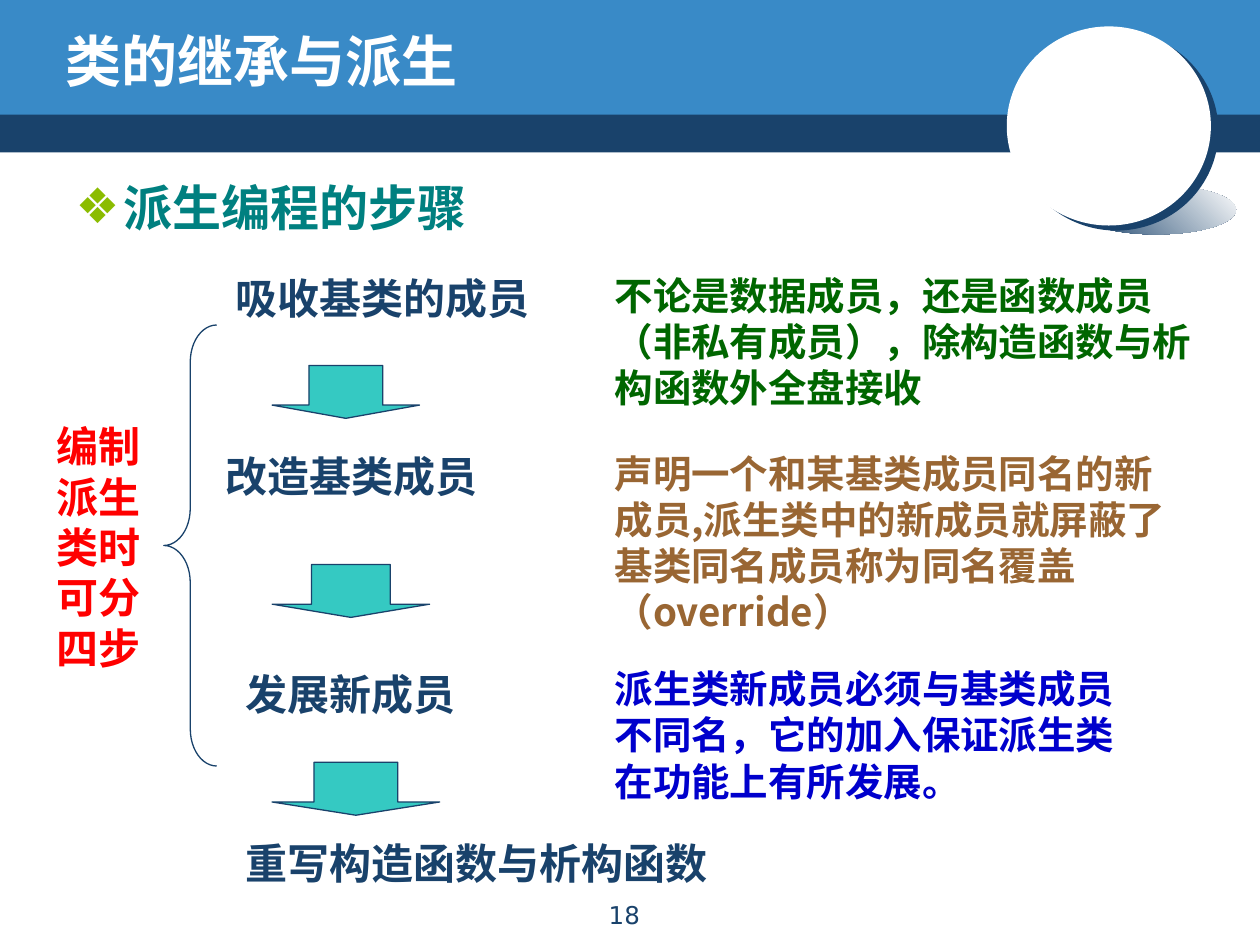
from dataclasses import dataclass

from lxml.etree import SubElement
from pptx import Presentation
from pptx.dml.color import RGBColor
from pptx.enum.shapes import MSO_SHAPE as Shape
from pptx.enum.text import MSO_ANCHOR as Anchor, MSO_AUTO_SIZE as AutoSize, PP_ALIGN as Align
from pptx.oxml.ns import qn
from pptx.util import Pt

PX = 9144
CJK = "Noto Sans CJK SC"
HEADING = "Comic Neue"
COLORS = {
    "navy": "19426B",
    "blue": "398AC7",
    "white": "FFFFFF",
    "teal": "008080",
    "lime": "8BBC00",
    "aqua": "35C9C2",
    "red": "FF0000",
    "green": "006600",
    "brown": "996633",
    "royal": "0000CC",
}


@dataclass(frozen=True)
class Box:
    left: int
    top: int
    width: int
    height: int

    def emu(self) -> tuple[int, ...]:
        return tuple(v * PX for v in (self.left, self.top, self.width, self.height))


@dataclass(frozen=True)
class Label:
    text: str
    box: Box
    color: str = "navy"
    size: int = 24
    font: str = CJK
    bold: bool = True
    wrap: bool = True
    align: Align = Align.LEFT


def rgb(name: str) -> RGBColor:
    return RGBColor.from_string(COLORS[name])


def write(frame, label: Label) -> None:
    frame.word_wrap = label.wrap
    frame.auto_size = AutoSize.NONE
    frame.text = label.text
    paragraph = frame.paragraphs[0]
    paragraph.alignment = label.align
    font = paragraph.font
    font.name, font.size, font.bold = label.font, Pt(label.size), label.bold
    font.color.rgb = rgb(label.color)


def add_label(slide, label: Label) -> None:
    write(slide.shapes.add_textbox(*label.box.emu()).text_frame, label)


def fill_placeholder(placeholder, label: Label) -> None:
    placeholder.left, placeholder.top, placeholder.width, placeholder.height = label.box.emu()
    write(placeholder.text_frame, label)


def add_figure(slide, kind: Shape, box: Box, fill: str | None = None, line: str | None = None):
    figure = slide.shapes.add_shape(kind, *box.emu())
    figure.shadow.inherit = False
    if fill:
        figure.fill.solid()
        figure.fill.fore_color.rgb = rgb(fill)
    else:
        figure.fill.background()
    if line:
        figure.line.color.rgb = rgb(line)
        figure.line.width = Pt(0.75)
    else:
        figure.line.fill.background()
    return figure


def add_bullet(paragraph, symbol: str, color: str, indent: int) -> None:
    properties = paragraph._p.get_or_add_pPr()
    properties.set("marL", str(indent * PX))
    properties.set("indent", str(-indent * PX))
    bullet_color = SubElement(properties, qn("a:buClr"))
    SubElement(bullet_color, qn("a:srgbClr")).set("val", COLORS[color])
    bullet = SubElement(properties, qn("a:buChar"))
    bullet.set("char", symbol)
    defaults = properties.find(qn("a:defRPr"))
    if defaults is not None:
        properties.append(defaults)


def draw_banner(slide) -> None:
    add_figure(slide, Shape.RECTANGLE, Box(0, 87, 1000, 34), "navy")
    add_figure(slide, Shape.RECTANGLE, Box(0, 0, 1000, 91), "blue")
    glow = add_figure(slide, Shape.OVAL, Box(854, 147, 127, 39), "navy")
    glow.fill.gradient()
    glow.fill.gradient_angle = 45
    for stop, color, position in zip(glow.fill.gradient_stops, ("navy", "white"), (0, 1)):
        stop.color.rgb = rgb(color)
        stop.position = position
    add_figure(slide, Shape.OVAL, Box(805, 25, 162, 158), "navy")
    add_figure(slide, Shape.OVAL, Box(799, 21, 162, 158), "white")


STEPS = [
    Label("吸收基类的成员", Box(177, 211, 273, 50), wrap=False),
    Label("改造基类成员", Box(169, 353, 239, 50), wrap=False),
    Label("发展新成员", Box(185, 526, 205, 50), wrap=False),
    Label("重写构造函数与析构函数", Box(185, 660, 407, 50), wrap=False),
]
EXPLANATIONS = [
    Label("不论是数据成员，还是函数成员（非私有成员），除构造函数与析构函数外全盘接收",
          Box(478, 211, 490, 121), "green", 22),
    Label("声明一个和某基类成员同名的新成员,派生类中的新成员就屏蔽了基类同名成员称为同名覆盖（override）",
          Box(478, 352, 476, 158), "brown", 22),
    Label("派生类新成员必须与基类成员不同名，它的加入保证派生类在功能上有所发展。",
          Box(478, 523, 446, 121), "royal", 22),
]
SUMMARY = Label("编制派生类时可分四步", Box(35, 329, 88, 212), "red")
PAGE_NUMBER = Label("18", Box(405, 709, 181, 32), size=14, font="DejaVu Sans",
                    bold=False, align=Align.CENTER)
TITLE = Label("类的继承与派生", Box(42, 17, 808, 62), "white", 32, HEADING)
TOPIC = Label("派生编程的步骤", Box(50, 136, 900, 574), "teal", 28, HEADING)


def main() -> None:
    deck = Presentation()
    deck.slide_width, deck.slide_height = 1000 * PX, 750 * PX
    slide = deck.slides.add_slide(deck.slide_layouts[1])
    title, body = slide.placeholders
    draw_banner(slide)
    for placeholder in (title, body):
        slide.shapes._spTree.append(placeholder._element)

    fill_placeholder(title, TITLE)
    title.text_frame.vertical_anchor = Anchor.MIDDLE
    fill_placeholder(body, TOPIC)
    add_bullet(body.text_frame.paragraphs[0], "❖", "lime", 38)

    brace = add_figure(slide, Shape.LEFT_BRACE, Box(130, 258, 42, 350), line="navy")
    brace.adjustments[0] = 0.7
    for step in range(3):
        arrow_box = Box(216, 290 + round(157.5 * step), 117 + 8 * step, 42)
        add_figure(slide, Shape.DOWN_ARROW, arrow_box, "aqua", "navy").adjustments[1] = 0.25
    for label in (PAGE_NUMBER, SUMMARY, *STEPS, *EXPLANATIONS):
        add_label(slide, label)

    deck.save("out.pptx")


if __name__ == "__main__":
    main()
